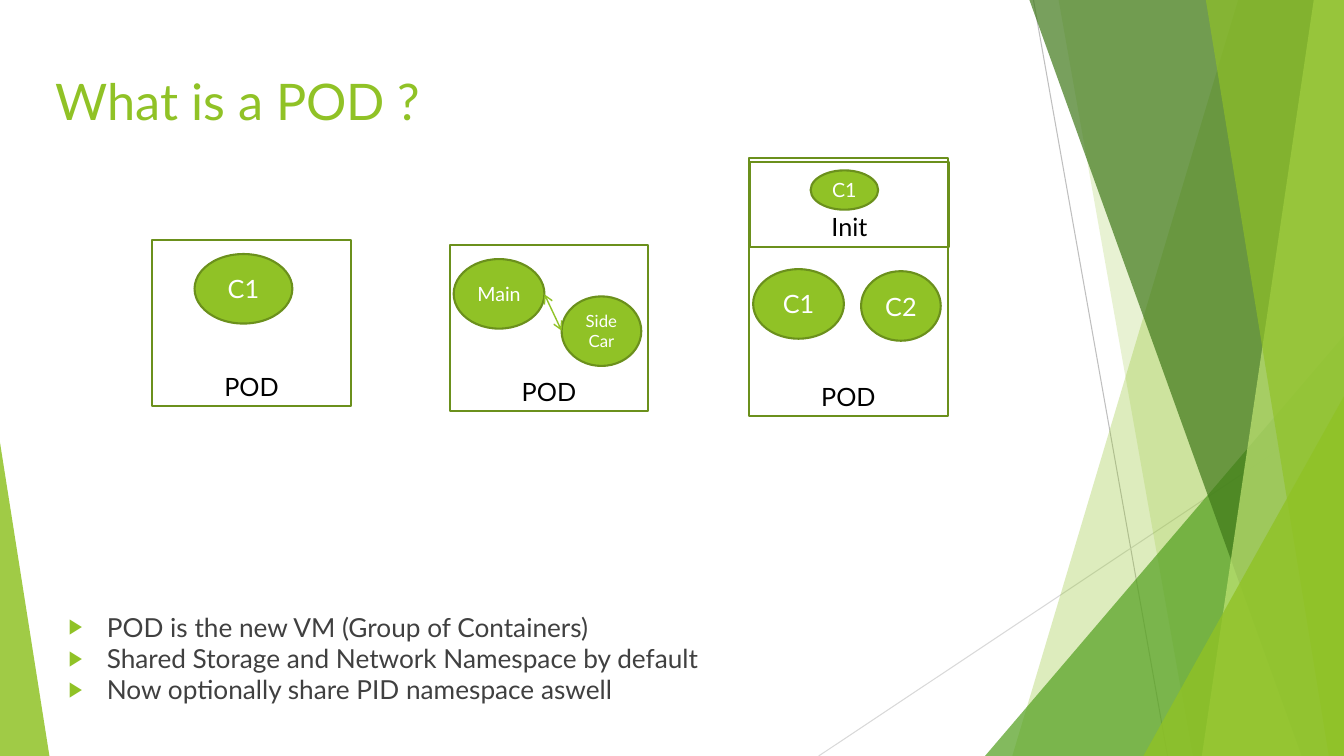
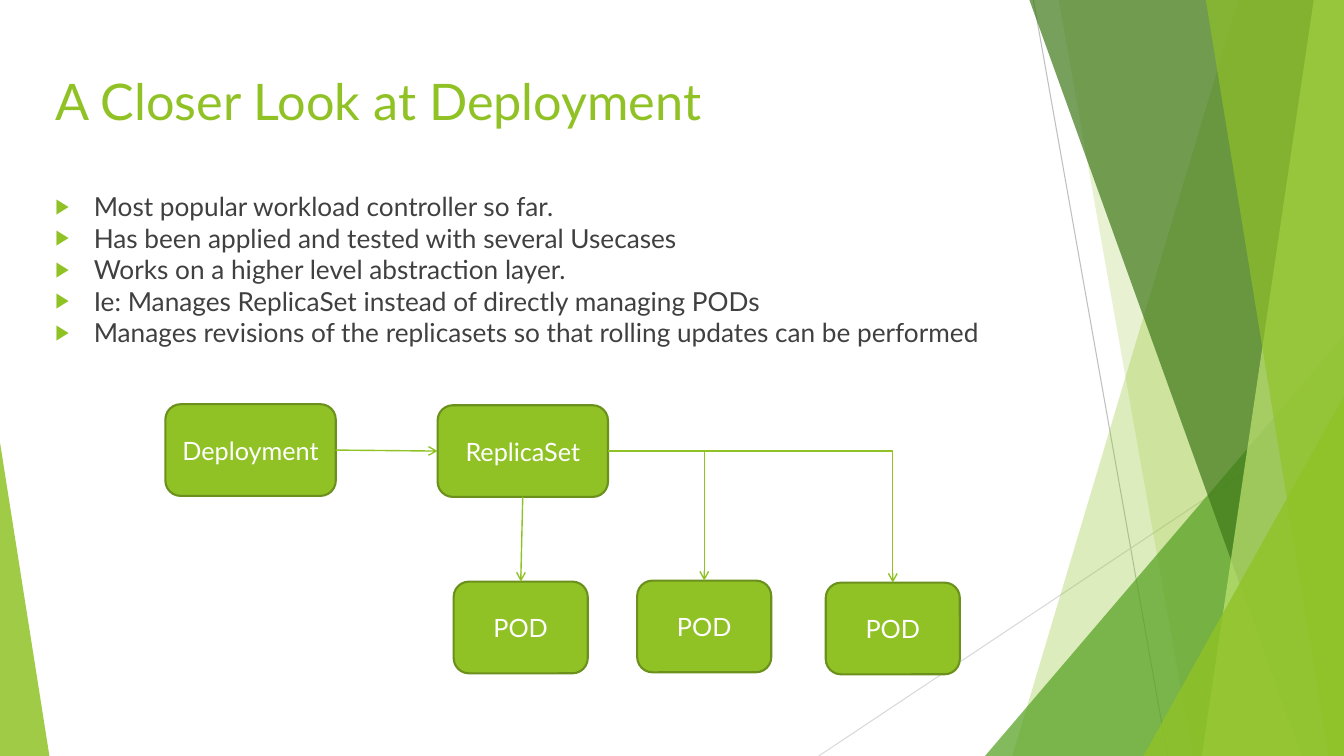
from lxml import etree
from pptx import Presentation
from pptx import util as u
from pptx.dml.color import RGBColor
from pptx.enum import shapes, text
from pptx.oxml.ns import qn

LIME = RGBColor(0x90, 0xC2, 0x26)
PALE_LIME = RGBColor(0xC0, 0xE4, 0x74)
GREEN = RGBColor(0x54, 0xA0, 0x21)
DARK_GREEN = RGBColor(0x3F, 0x78, 0x19)
OLIVE = RGBColor(0x6B, 0x90, 0x1C)
LIGHT_GRAY = RGBColor(0xD9, 0xD9, 0xD9)
GRAY = RGBColor(0xBF, 0xBF, 0xBF)
CHARCOAL = RGBColor(0x40, 0x40, 0x40)
BLACK = RGBColor(0, 0, 0)
WHITE = RGBColor(0xFF, 0xFF, 0xFF)

FONT = "Lato"
COLUMNS, ROWS = 133.3, 75  # grid cells of a tenth of an inch
TOP, LEFT, BOTTOM, RIGHT = range(4)
RECT = shapes.MSO_SHAPE.RECTANGLE
ROUNDED = shapes.MSO_SHAPE.ROUNDED_RECTANGLE
OVAL = shapes.MSO_SHAPE.OVAL
TRIANGLE = shapes.MSO_SHAPE.ISOSCELES_TRIANGLE


def cells(count):
    return u.Inches(count / 10)


def apply(target, values):
    for name, value in values.items():
        setattr(target, name, value)


def place(shape, *frame):
    apply(shape, dict(zip(("left", "top", "width", "height"), map(cells, frame))))


class Deck:
    """Holds the style, the presentation and the slide being filled."""

    def __init__(self):
        self.deck = Presentation()
        apply(self.deck, {"slide_width": cells(COLUMNS), "slide_height": cells(ROWS)})
        self.layout = self.deck.slide_layouts[1]
        self.page = None

    def add_page(self, title, bullets, body_frame):
        first = self.page is None
        self.page = self.deck.slides.add_slide(self.layout)
        if first:
            self.add_scenery()
        heading, body = self.page.placeholders
        place(heading, 4.5, 6, 124.2, 8.9)
        self.set_text(heading, [title], 36, LIME, margin=1)
        place(body, *body_frame)
        self.set_text(body, bullets, 18.7, CHARCOAL, margin=1, bulleted=True)

    def set_text(self, box, lines, size, color, anchor=text.MSO_ANCHOR.TOP,
                 align=text.PP_ALIGN.LEFT, margin=0.5, wrap=True, bulleted=False):
        frame = box.text_frame
        margins = dict.fromkeys(
            ("margin_left", "margin_top", "margin_right", "margin_bottom"), cells(margin))
        apply(frame, {"text": "\n".join(lines), "word_wrap": wrap,
                      "auto_size": text.MSO_AUTO_SIZE.NONE,
                      "vertical_anchor": anchor, **margins})
        for para in frame.paragraphs:
            if bulleted:
                self.add_bullet(para)
            apply(para, {"alignment": align, "space_before": u.Pt(0)})
            apply(para.font, {"name": FONT, "size": u.Pt(size)})
            para.font.color.rgb = color

    def add_bullet(self, para):
        props = para._p.get_or_add_pPr()
        props.set("marL", str(cells(3.8)))
        props.set("indent", str(-cells(3.8)))
        color = etree.SubElement(props, qn("a:buClr"))
        etree.SubElement(color, qn("a:srgbClr"), val=str(LIME))
        etree.SubElement(props, qn("a:buSzPct"), val="80000")
        etree.SubElement(props, qn("a:buChar"), char="▶")

    def node(self, kind, frame, label, size=18):
        """Add a filled shape with a white label; newlines split its lines."""
        shape = self.outlined(kind, frame)
        shape.fill.solid()
        shape.fill.fore_color.rgb = LIME
        self.set_text(shape, label.split("\n"), size, WHITE, text.MSO_ANCHOR.MIDDLE,
                      text.PP_ALIGN.CENTER, wrap=False)
        return shape

    def container(self, frame, label):
        shape = self.outlined(RECT, frame)
        shape.fill.background()
        self.set_text(shape, [label], 18, BLACK, text.MSO_ANCHOR.BOTTOM,
                      text.PP_ALIGN.CENTER)

    def outlined(self, kind, frame):
        shape = self.page.shapes.add_shape(kind, *map(cells, frame))
        shape.shadow.inherit = False
        shape.line.color.rgb = OLIVE
        shape.line.width = u.Pt(1.5)
        return shape

    def line(self, ends, color=LIME, width=1, arrows=(), bent=False, parent=None):
        kind = shapes.MSO_CONNECTOR.ELBOW if bent else shapes.MSO_CONNECTOR.STRAIGHT
        owner = parent or self.page
        connector = owner.shapes.add_connector(kind, *map(cells, ends))
        connector.line.color.rgb = color
        connector.line.width = u.Pt(width)
        for end in arrows:
            etree.SubElement(connector.line._get_or_add_ln(), qn(f"a:{end}"), type="arrow")
        props = connector.element.spPr
        etree.SubElement(props, qn("a:effectLst"))
        if bent:
            props.find(qn("a:prstGeom")).set("prst", "bentConnector2")
        return connector

    def join(self, source, source_side, target, target_side, bent=False):
        connector = self.line((0, 0, 1, 1), arrows=("tailEnd",), bent=bent)
        connector.begin_connect(source, source_side)
        connector.end_connect(target, target_side)

    def tint(self, shape, color, opacity):
        shape.shadow.inherit = False
        shape.line.fill.background()
        shape.fill.solid()
        shape.fill.fore_color.rgb = color
        value = shape.element.spPr.find(f".//{qn('a:srgbClr')}")
        etree.SubElement(value, qn("a:alpha"), val=str(opacity * 1000))

    def band(self, group, top, bottom, color, opacity):
        """Fill from a slanted edge to the right side of the slide."""
        corners = [(top, 0), (COLUMNS, 0), (COLUMNS, ROWS), (bottom, ROWS)]
        start, *others = [(cells(x), cells(y)) for x, y in corners]
        builder = group.shapes.build_freeform(*start)
        builder.add_line_segments(others, close=True)
        self.tint(builder.convert_to_shape(), color, opacity)

    def wedge(self, group, left, top, width, tip, color, opacity):
        """Add a triangle standing on the bottom edge; tip is 0 left, 1 right."""
        frame = (left, top, width, ROWS - top)
        shape = group.shapes.add_shape(TRIANGLE, *map(cells, frame))
        shape.adjustments[0] = tip
        self.tint(shape, color, opacity)

    def add_scenery(self):
        """Draw the background once and move it behind the layout."""
        group = self.page.shapes.add_group_shape()
        self.line((102.5, 0, 115.8, ROWS), GRAY, 0.75, parent=group)
        self.line((COLUMNS, 40.3, 81.2, ROWS), LIGHT_GRAY, 0.75, parent=group)
        self.band(group, 122.8, 100.4, LIME, 30)
        self.band(group, 105, 118.3, LIME, 20)
        self.wedge(group, 97.7, 33.3, 35.6, 1, GREEN, 72)
        self.band(group, 102.1, 129.1, DARK_GREEN, 70)
        self.band(group, 130.3, 119.2, PALE_LIME, 70)
        self.band(group, 119.6, 131.8, LIME, 65)
        self.wedge(group, 113.4, 39.3, 19.9, 1, LIME, 80)
        self.wedge(group, 0, 43.9, 4.9, 0, LIME, 85)
        for number, props in enumerate(group.element.iter(qn("p:cNvPr")), 100):
            props.set("id", str(number))
        self.layout.shapes.element.insert(2, group.element)


def add_pod_page(deck):
    deck.add_page("What is a POD ?", [
        "POD is the new VM (Group of Containers)",
        "Shared Storage and Network Namespace by default",
        "Now optionally share PID namespace aswell",
    ], (5.8, 59.6, 96.7, 10.6))
    deck.container((15.1, 23.8, 19.7, 16.5), "POD")
    deck.node(OVAL, (19.3, 25.2, 9.7, 6.9), "C1")

    deck.container((44.6, 24.3, 19.7, 16.5), "POD")
    deck.node(OVAL, (45, 25.7, 9, 6.9), "Main", 14)
    deck.node(OVAL, (55.7, 29.4, 7.9, 6.9), "Side\nCar", 12)

    deck.container((74.3, 15.7, 19.7, 25.6), "POD")
    deck.node(OVAL, (74.7, 26.7, 9, 6.9), "C1")
    deck.node(OVAL, (85.4, 26.9, 7.9, 6.9), "C2")
    deck.container((74.4, 16.1, 19.7, 8.4), "Init")
    deck.node(OVAL, (80.4, 16.9, 6.7, 3.9), "C1", 14)
    deck.line((54, 29.2, 55.7, 32.8), arrows=("headEnd", "tailEnd"))


def add_deployment_page(deck):
    deck.add_page("A Closer Look at Deployment", [
        "Most popular workload controller so far.",
        "Has been applied and tested with several Usecases",
        "Works on a higher level abstraction layer.",
        "Ie: Manages ReplicaSet instead of directly managing PODs",
        "Manages revisions of the replicasets so that rolling updates can be performed",
    ], (4.5, 17.9, 97.2, 18.9))
    deployment = deck.node(ROUNDED, (16.4, 40.1, 16.9, 9.1), "Deployment")
    replica_set = deck.node(ROUNDED, (43.4, 40.2, 16.9, 9.1), "ReplicaSet")
    pods = [deck.node(ROUNDED, (left, top, 13.3, 9.1), "POD")
            for left, top in ((45, 57.7), (63.2, 57.6), (81.9, 57.8))]
    deck.join(deployment, RIGHT, replica_set, LEFT)
    deck.join(replica_set, BOTTOM, pods[0], TOP)
    for pod in pods[1:]:
        deck.join(replica_set, RIGHT, pod, TOP, bent=True)


def main():
    deck = Deck()
    add_pod_page(deck)
    add_deployment_page(deck)
    deck.deck.save("out.pptx")


if __name__ == "__main__":
    main()
